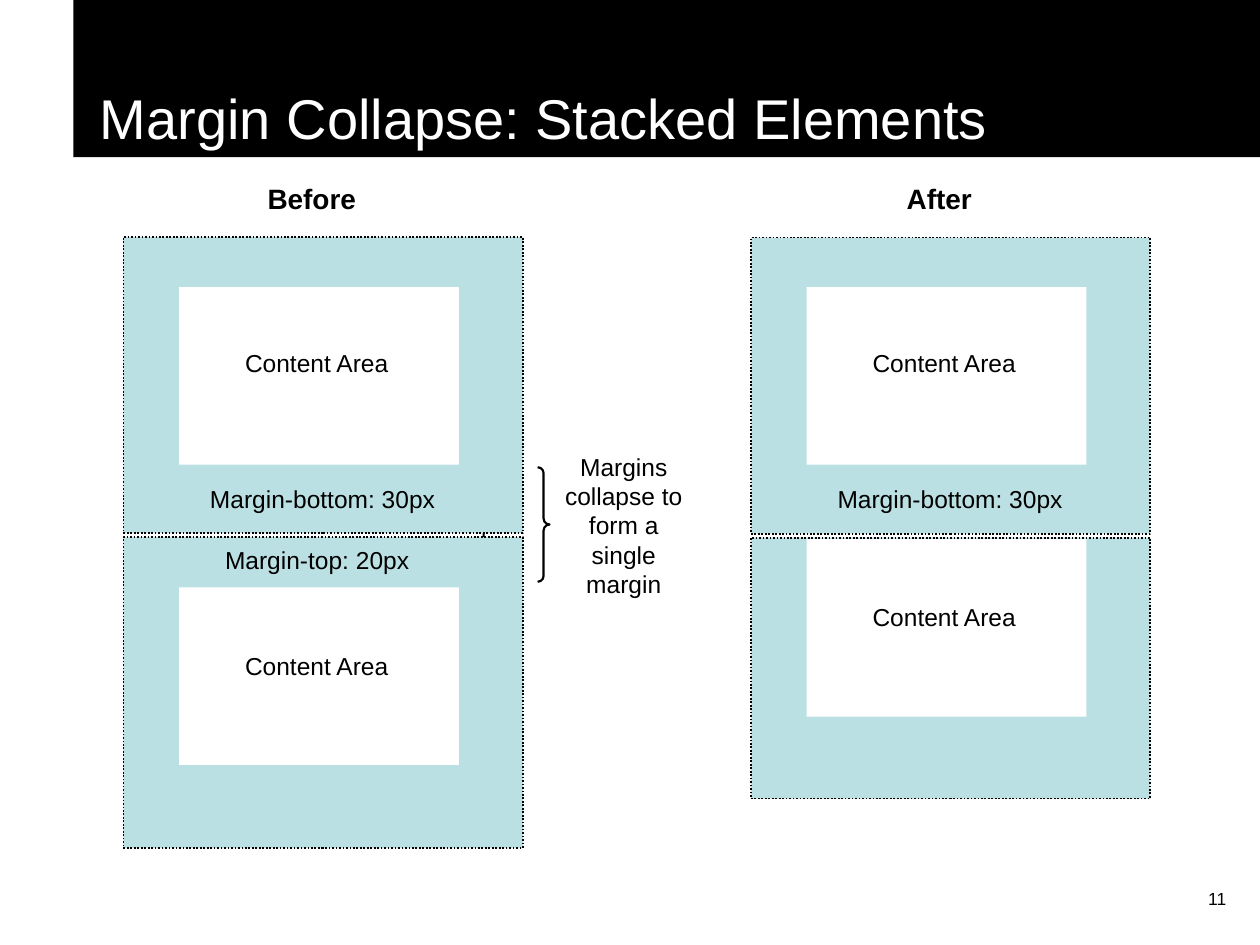
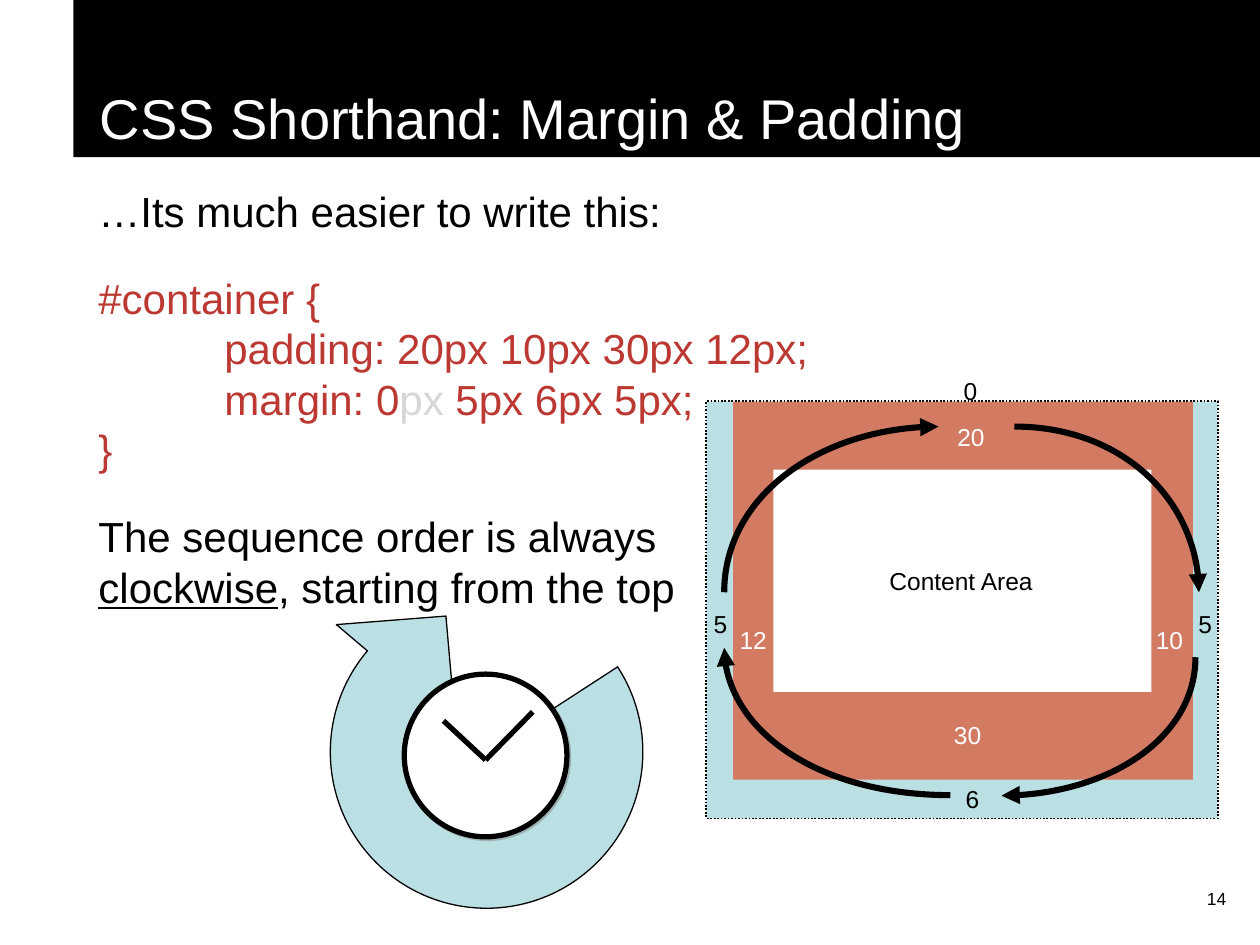
import math

import pptx
import pptx.dml.color
import pptx.enum.dml
import pptx.enum.shapes
import pptx.enum.text
import pptx.oxml.ns
import pptx.util
from lxml import etree

Cm, Pt = pptx.util.Cm, pptx.util.Pt
qn = pptx.oxml.ns.qn
SHAPE = pptx.enum.shapes.MSO_SHAPE
ALIGN = pptx.enum.text.PP_ALIGN
ANCHOR = pptx.enum.text.MSO_ANCHOR
FIT = pptx.enum.text.MSO_AUTO_SIZE

COLORS = {
    "black": "000000",
    "white": "FFFFFF",
    "margin": "BBE0E3",
    "padding": "D27B62",
    "code": "BB3932",
    "faint": "D6D6D6",
}
LABEL_H = 0.86


def rgb(name):
    return pptx.dml.color.RGBColor.from_string(COLORS[name])


def apply(obj, values):
    for name, value in values.items():
        setattr(obj, name, value)


def sub(parent, tag, **attrs):
    """Append a DrawingML element with the given attributes."""
    return etree.SubElement(parent, qn(tag), {k: str(v) for k, v in attrs.items()})


def polar(cx, cy, rx, ry, angle):
    """Point on an ellipse; angle in degrees, clockwise from the right."""
    a = math.radians(angle)
    return cx + rx * math.cos(a), cy + ry * math.sin(a)


def arc_curves(cx, cy, rx, ry, start, end):
    """Bezier segments (two controls and an end point), at most 90 degrees each."""
    count = math.ceil(abs(end - start) / 90)
    step = (end - start) / count
    k = 4 / 3 * math.tan(math.radians(step) / 4)
    curves = []
    for i in range(count):
        a, b = start + i * step, start + (i + 1) * step
        (x1, y1), (x2, y2) = polar(cx, cy, rx, ry, a), polar(cx, cy, rx, ry, b)
        (dx1, dy1), (dx2, dy2) = (polar(0, 0, rx, ry, t + 90) for t in (a, b))
        curves.append([(x1 + k * dx1, y1 + k * dy1),
                       (x2 - k * dx2, y2 - k * dy2), (x2, y2)])
    return curves


class Deck:
    font = "Arial"

    def __init__(self):
        self.prs = pptx.Presentation()
        apply(self.prs, {"slide_width": Cm(25.4), "slide_height": Cm(19.05)})
        self.s = None

    # Slide frame: title band and page number
    def slide(self, layout, title, number):
        self.s = self.prs.slides.add_slide(self.prs.slide_layouts[layout])
        band = self.s.shapes.title
        self.place(band, 1.48, 0, 23.92, 3.17)
        self.paint(band, "black")
        apply(band.text_frame, {"vertical_anchor": ANCHOR.BOTTOM, "auto_size": FIT.NONE})
        p = band.text_frame.paragraphs[0]
        p.alignment = ALIGN.LEFT
        p._p.get_or_add_pPr().set("marL", str(Cm(0.28)))
        self.run(p, title, 32, "white")
        self.text(str(number), 19.69, 17.78, 5.28, 1.27, size=10,
                  align=ALIGN.RIGHT, fit=FIT.NONE)

    def place(self, shape, x, y, w, h):
        apply(shape, {"left": Cm(x), "top": Cm(y), "width": Cm(w), "height": Cm(h)})

    def paint(self, shape, fill=None, line=None, dash=None):
        if fill:
            shape.fill.solid()
            shape.fill.fore_color.rgb = rgb(fill)
        else:
            shape.fill.background()
        self.outline(shape, line, dash)

    def outline(self, shape, width, dash=None):
        if not width:
            shape.line.fill.background()
            return
        shape.line.color.rgb = rgb("black")
        apply(shape.line, {"width": Pt(width), "dash_style": dash})

    def run(self, p, text, size, color="black", **style):
        r = p.add_run()
        r.text = text
        apply(r.font, {"name": self.font, "size": Pt(size), **style})
        r.font.color.rgb = rgb(color)

    def text(self, text, x, y, w, h=LABEL_H, size=14, color="black",
             align=ALIGN.CENTER, fit=FIT.SHAPE_TO_FIT_TEXT, **style):
        tf = self.s.shapes.add_textbox(Cm(x), Cm(y), Cm(w), Cm(h)).text_frame
        apply(tf, {"word_wrap": True, "auto_size": fit})
        tf.paragraphs[0].alignment = align
        self.run(tf.paragraphs[0], text, size, color, **style)

    def body(self, paragraphs, x, y, w, h, size=24):
        sp = self.s.placeholders[1]
        self.place(sp, x, y, w, h)
        tf = sp.text_frame
        tf.auto_size = FIT.NONE
        for i, runs in enumerate(paragraphs):
            p = tf.add_paragraph() if i else tf.paragraphs[0]
            apply(p, {"alignment": ALIGN.LEFT, "line_spacing": 1.0,
                      "space_before": Pt(15), "space_after": Pt(6)})
            pPr = p._p.get_or_add_pPr()
            for name, value in {"marL": Cm(0.25), "indent": 0, "defTabSz": Cm(2.54)}.items():
                pPr.set(name, str(value))
            sub(pPr, "a:buNone")
            tabs = sub(pPr, "a:tabLst")
            for stop in range(8):
                sub(tabs, "a:tab", pos=Cm(2.54 * stop), algn="l")
            for text, color, style in runs:
                for j, part in enumerate(text.split("\n")):
                    if j:
                        p.add_line_break()
                    if part:
                        self.run(p, part, size, color, **style)
            for br in p._p.findall(qn("a:br")):
                sub(br, "a:rPr", sz=size * 100)

    def shape(self, kind, x, y, w, h, fill=None, line=None, dash=None):
        sp = self.s.shapes.add_shape(kind, Cm(x), Cm(y), Cm(w), Cm(h))
        sp.shadow.inherit = False
        self.paint(sp, fill, line, dash)
        return sp

    def box(self, x, y, w, h, fill):
        return self.shape(SHAPE.RECTANGLE, x, y, w, h, fill)

    def margin_box(self, x, y, w, h):
        return self.shape(SHAPE.RECTANGLE, x, y, w, h, "margin", 1,
                          pptx.enum.dml.MSO_LINE.ROUND_DOT)

    def freeform(self, start, segments, fill=None, line=1, close=True):
        """Segments hold one point for a line or three for a curve."""
        builder = self.s.shapes.build_freeform(Cm(start[0]), Cm(start[1]), scale=1.0)
        builder.add_line_segments([(Cm(x), Cm(y)) for seg in segments for x, y in seg],
                                  close=close)
        sp = builder.convert_to_shape()
        sp.shadow.inherit = False
        self.paint(sp, fill, line)
        steps = iter(list(sp._element.iter(qn("a:lnTo"))))
        for seg in segments:
            first, *rest = [next(steps) for _ in seg]
            if rest:
                first.tag = qn("a:cubicBezTo")
                for step in rest:
                    first.append(step[0])
                    step.getparent().remove(step)
        return sp

    def curved_arrow(self, cx, cy, rx, ry, start, end):
        sp = self.freeform(polar(cx, cy, rx, ry, start),
                           arc_curves(cx, cy, rx, ry, start, end), line=3.5, close=False)
        sub(sp.line._get_or_add_ln(), "a:tailEnd", type="triangle")

    def line(self, x1, y1, x2, y2, width):
        c = self.s.shapes.add_connector(pptx.enum.shapes.MSO_CONNECTOR.STRAIGHT,
                                        Cm(x1), Cm(y1), Cm(x2), Cm(y2))
        self.outline(c, width)
        sub(c._element.spPr, "a:effectLst")

    def drop_shadow(self, sp):
        effects = sp._element.spPr.find(qn("a:effectLst"))
        shadow = sub(effects, "a:outerShdw", dist=Pt(1.4), dir=45 * 60000,
                     algn="ctr", rotWithShape=0)
        sub(sub(shadow, "a:srgbClr", val="808080"), "a:alpha", val=46000)


def stacked_elements(d):
    d.slide(5, "Margin Collapse: Stacked Elements", 11)

    # Brace, partly covered by the Before column
    brace = d.shape(SHAPE.DOUBLE_BRACE, 9.63, 9.42, 1.45, 2.31, line=1.25)
    brace.adjustments[0] = 0.083

    # Columns: heading, left, top, height of lower box, drop of lower content
    columns = [("Before", 2.49, 4.78, 6.27, 1.01), ("After", 15.14, 4.79, 5.26, 0.03)]
    for heading, x, y, lower_h, drop in columns:
        lower_y = y + 6.05
        for top, h, content_y, label_y in ((y, 5.97, 5.79, 1.1),
                                           (lower_y, lower_h, lower_y + drop, 1.15)):
            d.margin_box(x, top, 8.05, h)
            d.box(x + 1.12, content_y, 5.64, 3.58, "white")
            d.text("Content Area", x + 1.56, content_y + label_y, 4.67)
        d.text("Margin-bottom: 30px", x - 0.01, 9.63, 8.05)
        d.text(heading, x + 1.61, 3.53, 4.37, 0.94, size=16, bold=True)

    d.text("Margin-top: 20px", 2.37, 10.87, 8.05)
    d.text("Margins collapse to form a single margin", 10.96, 8.98, 3.23, 3.23)


def shorthand(d):
    d.slide(1, "CSS Shorthand: Margin & Padding", 14)
    d.body([
        [("…Its much easier to write this:", "black", {})],
        [("#container {\n\tpadding: 20px 10px 30px 12px;\n\tmargin: 0", "code", {}),
         ("px", "faint", {}),
         (" 5px 6px 5px;\n}", "code", {})],
        [("The sequence order is always \n", "black", {}),
         ("clockwise", "black", {"underline": True}),
         (", starting from the top", "black", {})],
    ], 1.48, 3.61, 23.06, 8.99)

    # Clockwise ring with its arrowhead
    cx, cy, inner, outer, tail, head = 9.81, 15.16, 1.6, 3.15, -33, 220.3
    tip, notch = (polar(cx, cy, r, r, head) for r in (3.97, 0.82))
    d.freeform(polar(cx, cy, inner, inner, head),
               arc_curves(cx, cy, inner, inner, head, tail)
               + [[polar(cx, cy, outer, outer, tail)]]
               + arc_curves(cx, cy, outer, outer, tail, head)
               + [[tip], [(8.99, 12.42)], [notch]], "margin", 0.75)

    # Box model
    d.margin_box(14.24, 8.09, 10.31, 8.41)
    d.box(14.78, 8.1, 9.27, 7.62, "padding")
    d.box(15.59, 9.47, 7.62, 4.48, "white")
    d.text("Content Area", 16.39, 11.28, 5.97)
    values = {
        "black": [("0", 18.37, 7.46), ("5", 23.1, 12.15),
                  ("6", 18.41, 15.68), ("5", 13.33, 12.15)],
        "white": [("20", 18.38, 8.38), ("10", 22.38, 12.48),
                  ("30", 18.31, 14.39), ("12", 13.99, 12.48)],
    }
    for color, labels in values.items():
        for label, x, y in labels:
            d.text(label, x, y, 2.39, color=color)

    # Quarter arrows, clockwise from the top
    quarters = [(20.45, 11.94, 3.72, 3.34), (20.19, 13.25, 3.91, 2.79),
                (19.16, 13.06, 4.56, 2.97), (18.92, 11.94, 4.32, 3.34)]
    for i, ellipse in enumerate(quarters):
        d.curved_arrow(*ellipse, 90 * (i - 1), 90 * i)

    # Clock
    d.drop_shadow(d.shape(SHAPE.OVAL, 8.15, 13.59, 3.28, 3.28, "white", 3))
    for x, y in ((8.94, 14.53), (10.74, 14.35)):
        d.line(x, y, 9.79, 15.32, 3)


def main():
    d = Deck()
    stacked_elements(d)
    shorthand(d)
    d.prs.save("out.pptx")


if __name__ == "__main__":
    main()
